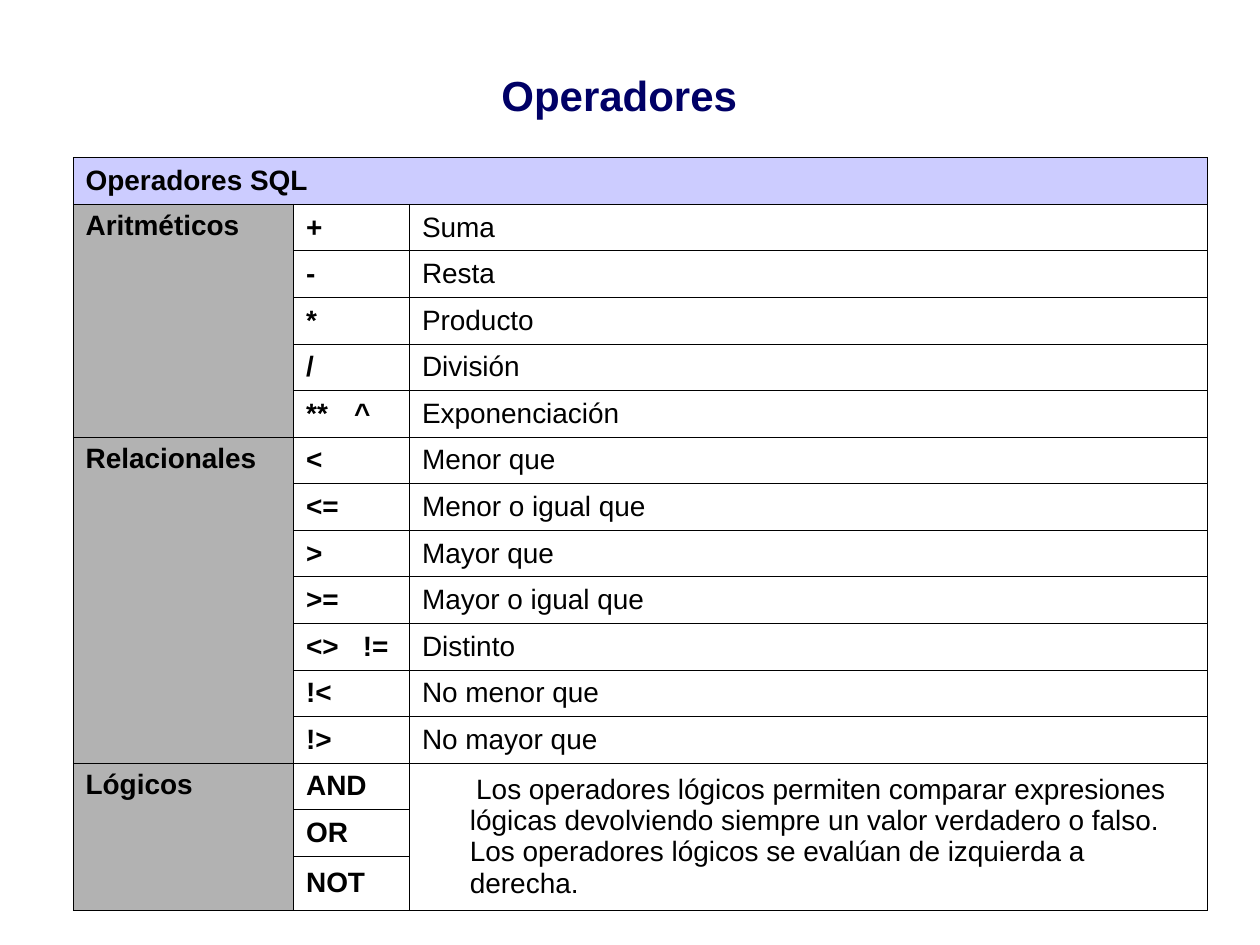
import pptx
import pptx.dml.color
import pptx.enum.text
import pptx.oxml
import pptx.oxml.ns
import pptx.util

Inches = pptx.util.Inches
Pt = pptx.util.Pt
RGBColor = pptx.dml.color.RGBColor
Align = pptx.enum.text.PP_ALIGN
Anchor = pptx.enum.text.MSO_ANCHOR

NAVY = RGBColor(0x00, 0x00, 0x66)
BLACK = RGBColor(0x00, 0x00, 0x00)
LAVENDER = RGBColor(0xCC, 0xCC, 0xFF)
GRAY = RGBColor(0xB2, 0xB2, 0xB2)

FONT = "Arial"
HANG = 0.38
COLUMN_WIDTHS = (1.75, 0.92, 6.33)
ROW_HEIGHT = 0.37
LAST_ROW_HEIGHT = 0.43
LOGIC_NOTE = (
    "Los operadores lógicos permiten comparar expresiones lógicas "
    "devolviendo siempre un valor verdadero o falso. "
    "Los operadores lógicos se evalúan de izquierda a derecha."
)
GROUPS = (
    ("Aritméticos", (
        ("+", "Suma"),
        ("-", "Resta"),
        ("*", "Producto"),
        ("/", "División"),
        ("**\t^", "Exponenciación"),
    )),
    ("Relacionales", (
        ("<", "Menor que"),
        ("<=", "Menor o igual que"),
        (">", "Mayor que"),
        (">=", "Mayor o igual que"),
        ("<>\t!=", "Distinto"),
        ("!<", "No menor que"),
        ("!>", "No mayor que"),
    )),
    ("Lógicos", (("AND", LOGIC_NOTE), ("OR", None), ("NOT", None))),
)
HANGS = {"<>\t!=": 0.45}


def write_text(frame, text, size=16, bold=False, color=BLACK,
               align=Align.LEFT, margin=0, indent=0):
    frame.word_wrap = True
    para = frame.paragraphs[0]
    para.alignment = align
    properties = para._p.get_or_add_pPr()
    properties.set("marL", str(Inches(margin)))
    properties.set("indent", str(Inches(indent)))
    span = para.add_run()
    span.text = text
    span.font.name = FONT
    span.font.size = Pt(size)
    span.font.bold = bold
    span.font.color.rgb = color


def write_cell(cell, text, anchor=Anchor.MIDDLE, hang=HANG, first=None, **style):
    cell.vertical_anchor = anchor
    indent = -hang if first is None else first
    write_text(cell.text_frame, text, margin=hang, indent=indent, **style)


def format_cell(cell, fill=None):
    cell.margin_left = cell.margin_right = Inches(0.1)
    cell.margin_top = cell.margin_bottom = Inches(0.05)
    properties = cell._tc.get_or_add_tcPr()
    for side in ("lnL", "lnR", "lnT", "lnB"):
        properties.append(pptx.oxml.parse_xml(
            f'<a:{side} {pptx.oxml.ns.nsdecls("a")} w="{Pt(0.34)}">'
            f'<a:solidFill><a:srgbClr val="{BLACK}"/></a:solidFill></a:{side}>'
        ))
    if fill is None:
        cell.fill.background()
    else:
        cell.fill.solid()
        cell.fill.fore_color.rgb = fill


def add_title(page, left, top, width, height):
    box = page.shapes.add_textbox(left, top, width, height)
    box.text_frame.vertical_anchor = Anchor.MIDDLE
    write_text(box.text_frame, "Operadores", size=24, bold=True,
               color=NAVY, align=Align.CENTER)


def add_operator_table(page, left, top, width, height):
    row_count = 1 + sum(len(operators) for _, operators in GROUPS)
    table = page.shapes.add_table(
        row_count, len(COLUMN_WIDTHS), left, top, width, height).table
    table.first_row = False
    table.horz_banding = False
    for column, column_width in zip(table.columns, COLUMN_WIDTHS):
        column.width = Inches(column_width)
    for row in table.rows:
        row.height = Inches(ROW_HEIGHT)
    table.rows[row_count - 1].height = Inches(LAST_ROW_HEIGHT)

    for row in range(row_count):
        for column in range(len(COLUMN_WIDTHS)):
            fill = LAVENDER if row == 0 else GRAY if column == 0 else None
            format_cell(table.cell(row, column), fill)

    heading = table.cell(0, 0)
    heading.merge(table.cell(0, 2))
    write_cell(heading, "Operadores SQL", bold=True, align=Align.JUSTIFY)

    start = 1
    for name, operators in GROUPS:
        end = start + len(operators) - 1
        group = table.cell(start, 0)
        group.merge(table.cell(end, 0))
        write_cell(group, name, anchor=Anchor.TOP, bold=True)
        for row, (symbol, meaning) in enumerate(operators, start):
            write_cell(table.cell(row, 1), symbol, bold=True,
                       hang=HANGS.get(symbol, HANG))
            if meaning == LOGIC_NOTE:
                table.cell(row, 2).merge(table.cell(end, 2))
                write_cell(table.cell(row, 2), meaning, first=0.05)
            elif meaning:
                write_cell(table.cell(row, 2), meaning)
        start = end + 1


def main():
    deck = pptx.Presentation()
    deck.slide_width = Inches(10)
    deck.slide_height = Inches(7.5)
    page = deck.slides.add_slide(deck.slide_layouts[6])
    add_title(page, Inches(1.5), Inches(0.42), Inches(6.83), Inches(0.67))
    add_operator_table(page, Inches(0.58), Inches(1.25), Inches(9), Inches(5.93))
    deck.save("out.pptx")


if __name__ == "__main__":
    main()
